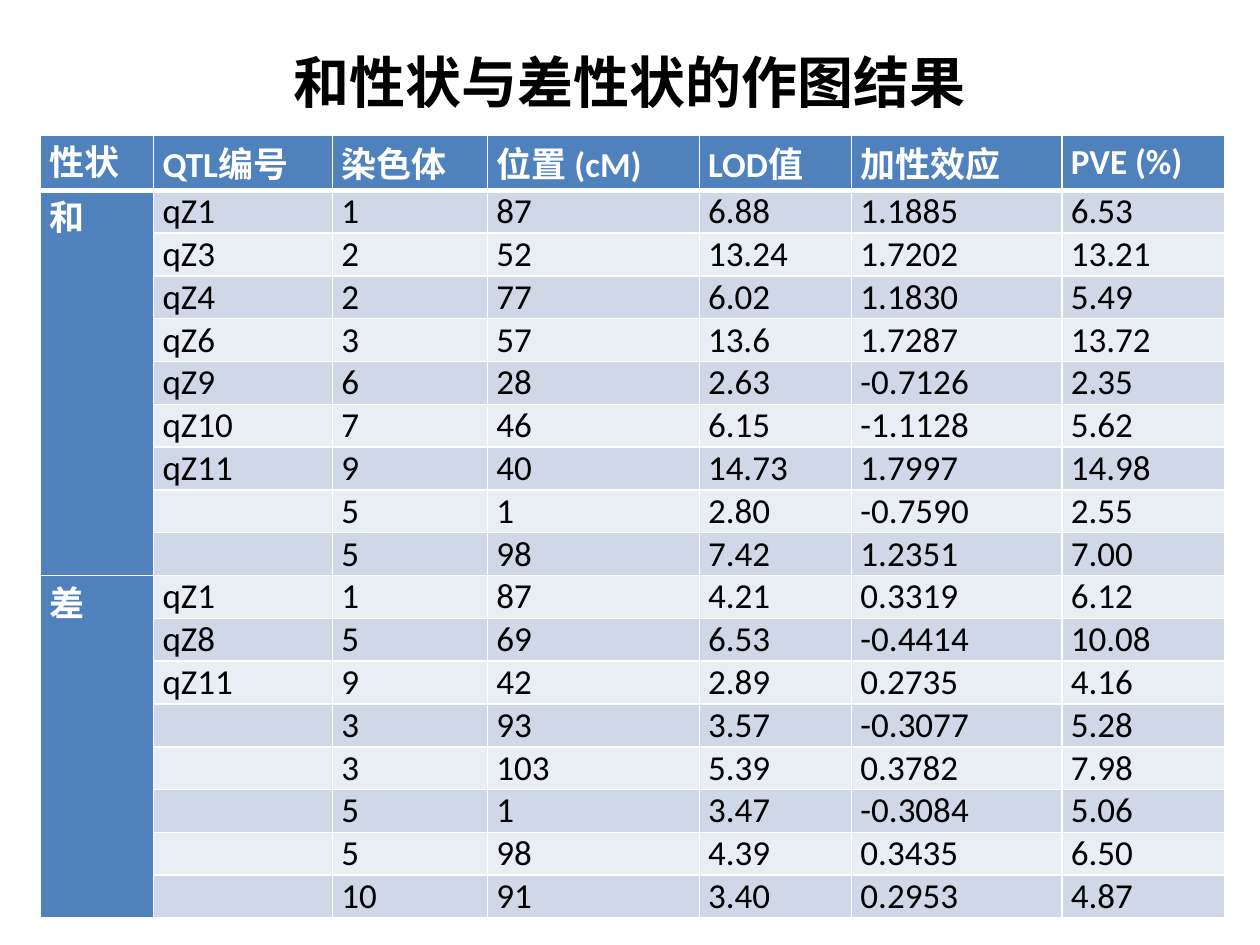
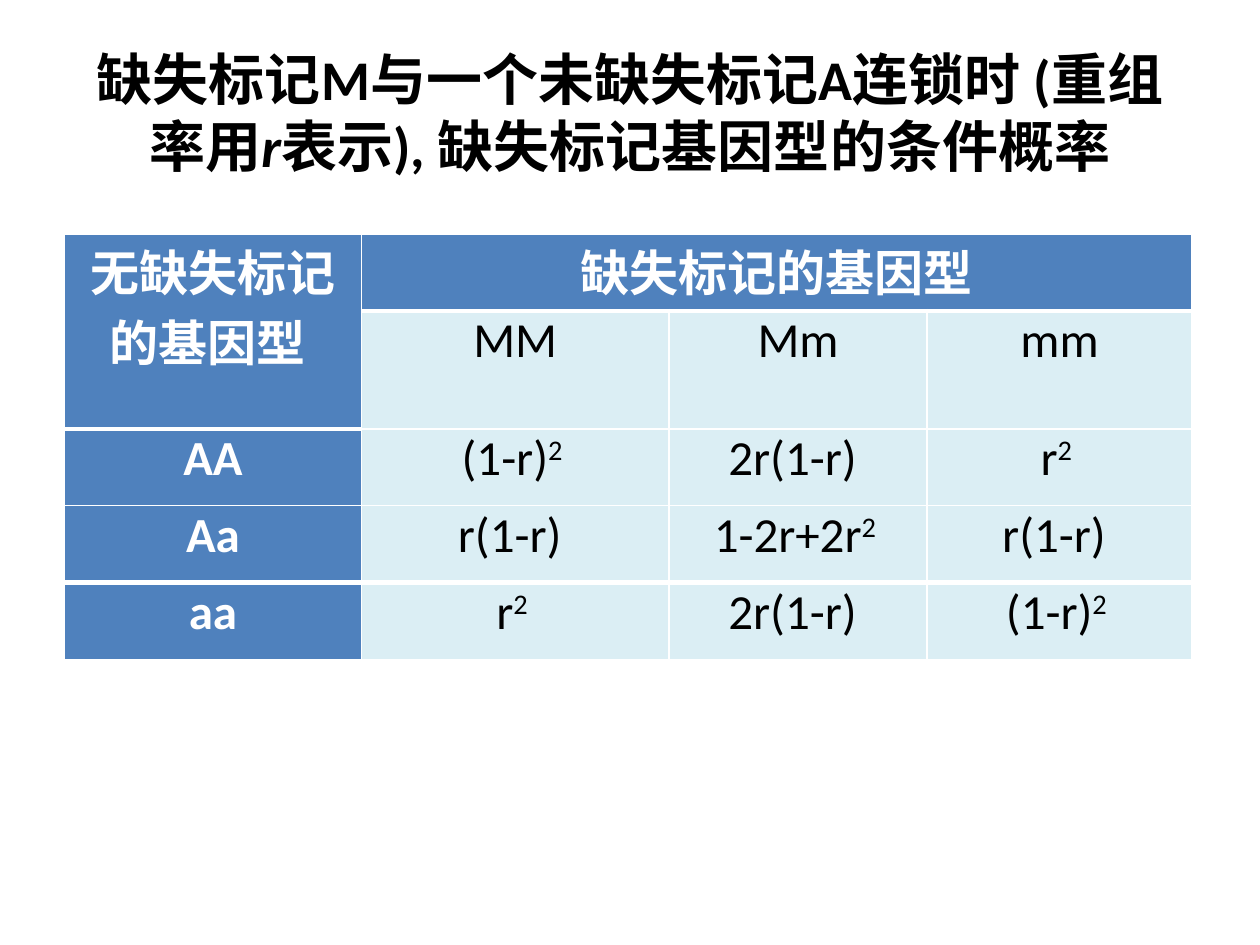
import pptx
import pptx.dml.color
import pptx.enum.text
import pptx.oxml
import pptx.oxml.ns
import pptx.util
from pptx.util import Inches

ALIGN = pptx.enum.text.PP_ALIGN
ANCHOR = pptx.enum.text.MSO_ANCHOR

# Shared look
HEAD_BLUE, BAND_DARK, BAND_LIGHT, PALE_TEAL = "4F81BD", "D0D8E8", "E9EDF4", "DBEEF4"
WHITE, BLACK = "FFFFFF", "000000"
LATIN, CHINESE = "Calibri", "Noto Sans CJK SC"
TITLE_SIZE = 32
THIN, THICK = 1, 3

# Content; text between bars is italic in a title and superscript in a table
QTL_TITLE = "和性状与差性状的作图结果"
QTL_HEADS = ["性状", "QTL编号", "染色体", "位置 (cM) ", "LOD值", "加性效应", "PVE (%)"]
QTL_WIDTHS = [0.9, 1.42, 1.23, 1.68, 1.21, 1.67, 1.29]
QTL_RESULTS = {
    "和": [
        ("qZ1", "1", "87", "6.88", "1.1885", "6.53"),
        ("qZ3", "2", "52", "13.24", "1.7202", "13.21"),
        ("qZ4", "2", "77", "6.02", "1.1830", "5.49"),
        ("qZ6", "3", "57", "13.6", "1.7287", "13.72"),
        ("qZ9", "6", "28", "2.63", "-0.7126", "2.35"),
        ("qZ10", "7", "46", "6.15", "-1.1128", "5.62"),
        ("qZ11", "9", "40", "14.73", "1.7997", "14.98"),
        ("", "5", "1", "2.80", "-0.7590", "2.55"),
        ("", "5", "98", "7.42", "1.2351", "7.00"),
    ],
    "差": [
        ("qZ1", "1", "87", "4.21", "0.3319", "6.12"),
        ("qZ8", "5", "69", "6.53", "-0.4414", "10.08"),
        ("qZ11", "9", "42", "2.89", "0.2735", "4.16"),
        ("", "3", "93", "3.57", "-0.3077", "5.28"),
        ("", "3", "103", "5.39", "0.3782", "7.98"),
        ("", "5", "1", "3.47", "-0.3084", "5.06"),
        ("", "5", "98", "4.39", "0.3435", "6.50"),
        ("", "10", "91", "3.40", "0.2953", "4.87"),
    ],
}

GENOTYPE_TITLE = "缺失标记M与一个未缺失标记A连锁时 (重组率用|r|表示), 缺失标记基因型的条件概率"
GENOTYPE_WIDTHS = [2.36, 2.44, 2.05, 2.1]
GENOTYPE_ROWS = [
    ("无缺失标记的基因型 ", "缺失标记的基因型", "", ""),
    ("", "MM", "Mm", "mm"),
    ("AA", "(1-r)|2 |", "2r(1-r) ", "r|2 |"),
    ("Aa", "r(1-r) ", "1-2r+2r|2 |", "r(1-r) "),
    ("aa", "r|2 |", "2r(1-r) ", "(1-r)|2 |"),
]


def rgb(value):
    return pptx.dml.color.RGBColor.from_string(value)


def write(paragraph, text, size, color, bold, special, face=LATIN):
    """Fill a paragraph, giving the parts between bars the special attribute."""
    font = paragraph.font
    font.name, font.size, font.bold = face, pptx.util.Pt(size), bold
    font.color.rgb = rgb(color)
    for index, part in enumerate(text.split("|")):
        if part:
            run = paragraph.add_run()
            run.text = part
            if index % 2:
                run._r.get_or_add_rPr().set(*special)


def add_title(slide, text, height, face=LATIN):
    box = slide.shapes.add_textbox(Inches(0.5), Inches(0.3), Inches(9), Inches(height))
    frame = box.text_frame
    frame.word_wrap = True
    frame.vertical_anchor = ANCHOR.MIDDLE
    frame.paragraphs[0].alignment = ALIGN.CENTER
    write(frame.paragraphs[0], text, TITLE_SIZE, BLACK, True, ("i", "1"), face)


def add_grid(slide, left, top, widths, heights):
    """Add a bare table, with neither header nor band style."""
    frame = slide.shapes.add_table(len(heights), len(widths), Inches(left), Inches(top),
                                   Inches(sum(widths)), Inches(sum(heights)))
    grid = frame.table
    grid.first_row = grid.horz_banding = False
    for column, width in zip(grid.columns, widths):
        column.width = Inches(width)
    for row, height in zip(grid.rows, heights):
        row.height = Inches(height)
    return grid


def set_borders(cell, top, bottom):
    for side, points in (("L", THIN), ("R", THIN), ("T", top), ("B", bottom)):
        cell._tc.get_or_add_tcPr().append(pptx.oxml.parse_xml(
            f'<a:ln{side} {pptx.oxml.ns.nsdecls("a")} w="{pptx.util.Pt(points)}">'
            f'<a:solidFill><a:srgbClr val="{WHITE}"/></a:solidFill></a:ln{side}>'))


def fill_grid(grid, rows, size, is_head, body_fill, align, anchor, thick_edges):
    """Fill every cell; thick_edges holds (row line, column) pairs."""
    for r, texts in enumerate(rows):
        for c, text in enumerate(texts):
            cell, head = grid.cell(r, c), is_head(r, c)
            below = r + (cell.span_height if cell.is_merge_origin else 1)
            set_borders(cell, *(THICK if (line, c) in thick_edges else THIN
                                for line in (r, below)))
            cell.fill.solid()
            cell.fill.fore_color.rgb = rgb(HEAD_BLUE if head else body_fill(r))
            cell.margin_left = cell.margin_right = Inches(0.07)
            cell.margin_top = cell.margin_bottom = 0
            cell.vertical_anchor = anchor(c)
            paragraph = cell.text_frame.paragraphs[0]
            paragraph.alignment = align(c)
            write(paragraph, text, size, WHITE if head else BLACK, head,
                  ("baseline", "30000"))


def build_qtl_slide(slide):
    add_title(slide, QTL_TITLE, 0.69, CHINESE)
    rows = [QTL_HEADS]
    spans = []
    for trait, results in QTL_RESULTS.items():
        spans.append((len(rows), len(rows) + len(results) - 1))
        rows += [(trait if i == 0 else "", *result) for i, result in enumerate(results)]
    grid = add_grid(slide, 0.32, 1.07, QTL_WIDTHS, [0.44] + [0.34] * (len(rows) - 1))
    for first, last in spans:
        grid.cell(first, 0).merge(grid.cell(last, 0))
    fill_grid(grid, rows, 20,
              is_head=lambda r, c: r == 0 or c == 0,
              body_fill=lambda r: BAND_DARK if r % 2 else BAND_LIGHT,
              align=lambda c: ALIGN.JUSTIFY if c else ALIGN.LEFT,
              anchor=lambda c: ANCHOR.MIDDLE if c else ANCHOR.TOP,
              thick_edges={(1, c) for c in range(len(QTL_HEADS))})


def build_genotype_slide(slide):
    add_title(slide, GENOTYPE_TITLE, 1.17)
    grid = add_grid(slide, 0.51, 1.86, GENOTYPE_WIDTHS, [0.61] * len(GENOTYPE_ROWS))
    grid.cell(0, 0).merge(grid.cell(1, 0))
    grid.cell(0, 1).merge(grid.cell(0, 3))
    fill_grid(grid, GENOTYPE_ROWS, 28,
              is_head=lambda r, c: r == 0 or c == 0,
              body_fill=lambda r: PALE_TEAL,
              align=lambda c: ALIGN.CENTER,
              anchor=lambda c: ANCHOR.TOP,
              thick_edges={(2, 0), *((1, c) for c in (1, 2, 3)),
                           *((4, c) for c in range(4))})


def main():
    deck = pptx.Presentation()
    deck.slide_width, deck.slide_height = Inches(10), Inches(7.5)
    for build in (build_qtl_slide, build_genotype_slide):
        build(deck.slides.add_slide(deck.slide_layouts[6]))
    deck.save("out.pptx")


if __name__ == "__main__":
    main()
